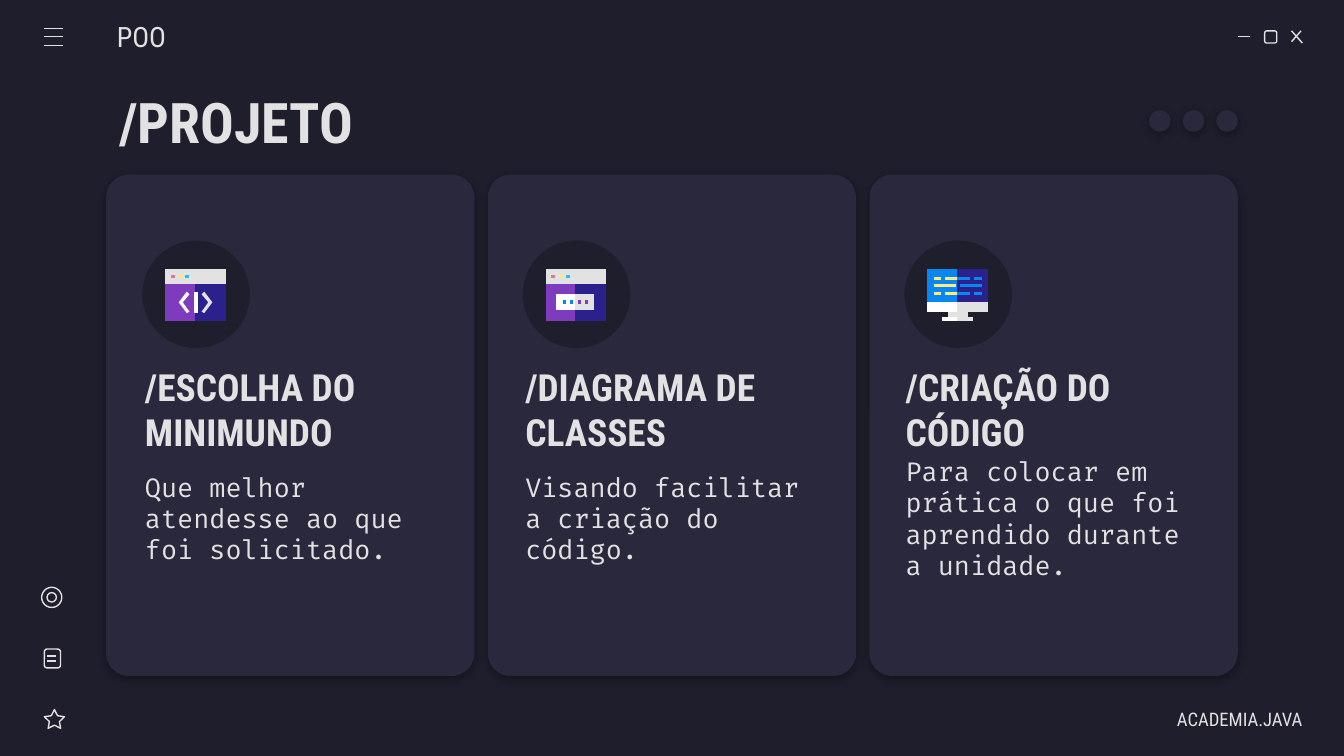
from pptx import Presentation
from pptx.dml.color import RGBColor
from pptx.enum import shapes, text
from pptx.oxml import parse_xml
from pptx.oxml.ns import nsdecls, qn
from pptx.util import Inches, Pt

DARK, PANEL, LIGHT, WHITE = "1E1E2C", "29283D", "E2E2E2", "FFFFFF"
NAVY, PURPLE, BLUE, CYAN, YELLOW, PINK = "2B218D", "7E3BBE", "0887F2", "24BFEB", "FFEA7D", "E07A88"
HEADING, BODY = "Roboto Condensed", "Fira Code"
CARD_STEP, TEXT_STEP = 2.84, 2.83

# Icon parts are in hundredths of an inch: left, top, right, bottom, or a list of points.
WINDOW = [
    (NAVY, (22, 9, 45, 39)),
    (PURPLE, (0, 9, 22, 39)),
    (LIGHT, (22, 0, 45, 11)),
    (LIGHT, (0, 0, 22, 11)),
    (PINK, (4, 4.5, 7, 6.5)),
    (YELLOW, (10, 4.5, 13, 6.5)),
    (CYAN, (15, 4.5, 18, 6.5)),
]
CODE = WINDOW + [
    (WHITE, [(16, 17), (10, 25), (16, 33), (18, 32), (13, 25), (18, 19)]),
    (LIGHT, [(29, 17), (27, 19), (32, 25), (27, 32), (29, 33), (35, 25)]),
    (WHITE, (21, 17, 24, 33)),
]
DIAGRAM = WINDOW + [
    (LIGHT, (22, 19, 36, 31)),
    (WHITE, (8, 19, 22, 31)),
    (BLUE, (13, 23.5, 15.5, 26.5)),
    (BLUE, (18, 23.5, 20.5, 26.5)),
    (PURPLE, (24, 23.5, 26.5, 26.5)),
    (PURPLE, (29, 23.5, 31.5, 26.5)),
]
MONITOR = [
    (NAVY, (22, 0, 45, 25)),
    (BLUE, (0, 0, 22, 25)),
    (LIGHT, (15, 30, 30, 37)),
    (LIGHT, (22, 36, 34, 39)),
    (WHITE, (11, 36, 22, 39)),
    (LIGHT, (22, 25, 45, 32)),
    (WHITE, (0, 25, 22, 32)),
    (BLUE, (24, 11, 41, 13.5)),
    (YELLOW, (5, 11, 21, 13.5)),
]
for row in (6, 17):
    for color, left, right in [(YELLOW, 5, 10), (BLUE, 35, 41), (BLUE, 22, 32), (YELLOW, 13, 22)]:
        MONITOR.append((color, (left, row, right, row + 2.5)))

CARDS = [
    ("/ESCOLHA DO MINIMUNDO", "Que melhor atendesse ao que foi solicitado.", CODE, 1.23),
    ("/DIAGRAMA DE CLASSES", "Visando facilitar a criação do código.", DIAGRAM, 4.06),
    ("/CRIAÇÃO DO CÓDIGO", "Para colocar em prática o que foi aprendido durante a unidade.", MONITOR, 6.9),
]
LABELS = [
    ("POO", (0.87, 0.12, 1.17, 0.3), 15, False, text.PP_ALIGN.LEFT, (0, 0.1)),
    ("ACADEMIA.JAVA", (8.52, 5.2, 1.17, 0.3), 10, False, text.PP_ALIGN.RIGHT, (0.1, 0)),
    ("/PROJETO", (0.79, 0.59, 4.97, 0.63), 30, True, text.PP_ALIGN.LEFT, (0.1, 0.1)),
]
KIND = shapes.MSO_SHAPE
OUTLINES = [
    (KIND.ROUNDED_RECTANGLE, (9.41, 0.23, 0.09, 0.09)),
    (KIND.STAR_5_POINT, (0.33, 5.28, 0.15, 0.14)),
    (KIND.ROUNDED_RECTANGLE, (0.33, 4.83, 0.12, 0.14)),
    (KIND.OVAL, (0.31, 4.37, 0.15, 0.15)),
    (KIND.OVAL, (0.35, 4.41, 0.07, 0.07)),
]
LINES = [
    (9.21, 0.27, 9.3, 0.27),
    (9.61, 0.23, 9.69, 0.32),
    (9.68, 0.23, 9.61, 0.31),
    (0.33, 0.21, 0.47, 0.21),
    (0.33, 0.27, 0.47, 0.27),
    (0.33, 0.34, 0.47, 0.34),
    (0.35, 4.88, 0.42, 4.88),
    (0.35, 4.92, 0.42, 4.92),
]


def rgb(color):
    return RGBColor.from_string(color)


def paint(shape, color):
    shape.shadow.inherit = False
    shape.fill.solid()
    shape.fill.fore_color.rgb = rgb(color)
    shape.line.fill.background()


def add_preset(kind, place, color=None):
    shape = page.shapes.add_shape(kind, *map(Inches, place))
    if color:
        paint(shape, color)
    else:
        shape.shadow.inherit = False
        shape.fill.background()
        shape.line.color.rgb = rgb(LIGHT)
        shape.line.width = Pt(0.75)
    return shape


def add_raised(kind, place):
    shape = add_preset(kind, place, PANEL)
    shape._element.spPr.find(qn("a:effectLst")).append(parse_xml(
        f'<a:outerShdw {nsdecls("a")} blurRad="57150" dist="19050" dir="5400000" algn="bl" rotWithShape="0">'
        '<a:srgbClr val="000000"><a:alpha val="30000"/></a:srgbClr></a:outerShdw>'))
    return shape


def add_line(x1, y1, x2, y2):
    line = page.shapes.add_connector(shapes.MSO_CONNECTOR.STRAIGHT, *map(Inches, (x1, y1, x2, y2)))
    line.line.color.rgb = rgb(LIGHT)
    line.line.width = Pt(0.75)
    line._element.spPr.append(parse_xml(f'<a:effectLst {nsdecls("a")}/>'))


def add_text(words, place, size, bold=False, align=text.PP_ALIGN.LEFT, sides=(0.1, 0.1), font=HEADING):
    box = page.shapes.add_textbox(*map(Inches, place))
    frame = box.text_frame
    frame.word_wrap = True
    frame.vertical_anchor = text.MSO_ANCHOR.MIDDLE
    frame.margin_left, frame.margin_right = map(Inches, sides)
    frame.margin_top = frame.margin_bottom = Inches(0.1)
    para = frame.paragraphs[0]
    para.text = words
    para.alignment = align
    para.font.name = font
    para.font.size = Pt(size)
    para.font.bold = bold
    para.font.color.rgb = rgb(LIGHT)


def add_icon(parts, left, top):
    icon = page.shapes.add_group_shape()
    for color, outline in parts:
        if isinstance(outline, tuple):
            x1, y1, x2, y2 = outline
            outline = [(x1, y1), (x1, y2), (x2, y2), (x2, y1)]
        points = [(Inches(left + x / 100), Inches(top + y / 100)) for x, y in outline]
        builder = icon.shapes.build_freeform(*points[0])
        builder.add_line_segments(points[1:], close=True)
        paint(builder.convert_to_shape(), color)


deck = Presentation()
deck.slide_width = Inches(10)
deck.slide_height = deck.slide_width * 9 // 16
page = deck.slides.add_slide(deck.slide_layouts[6])
page.background.fill.solid()
page.background.fill.fore_color.rgb = rgb(DARK)

for index, (title, body, icon, icon_left) in enumerate(CARDS):
    text_left = 0.98 + index * TEXT_STEP
    card = add_raised(KIND.ROUNDED_RECTANGLE, (0.79 + index * CARD_STEP, 1.3, 2.74, 3.73))
    card.adjustments[0] = 0.062
    add_preset(KIND.OVAL, (icon_left - 0.17, 1.79, 0.8, 0.8), DARK)
    add_icon(icon, icon_left, 2)
    add_text(title, (text_left, 2.79, 2.38, 0.51), 20, bold=True)
    add_text(body, (text_left, 3.31, 2.38, 1.09), 14, font=BODY)
    add_raised(KIND.OVAL, (8.55 + index * 0.25, 0.82, 0.16, 0.16))

for label in LABELS:
    add_text(*label)
for kind, place in OUTLINES:
    outline = add_preset(kind, place)
    if kind == KIND.STAR_5_POINT:
        outline.adjustments[0] = 0.25
for ends in LINES:
    add_line(*ends)

deck.save("out.pptx")
